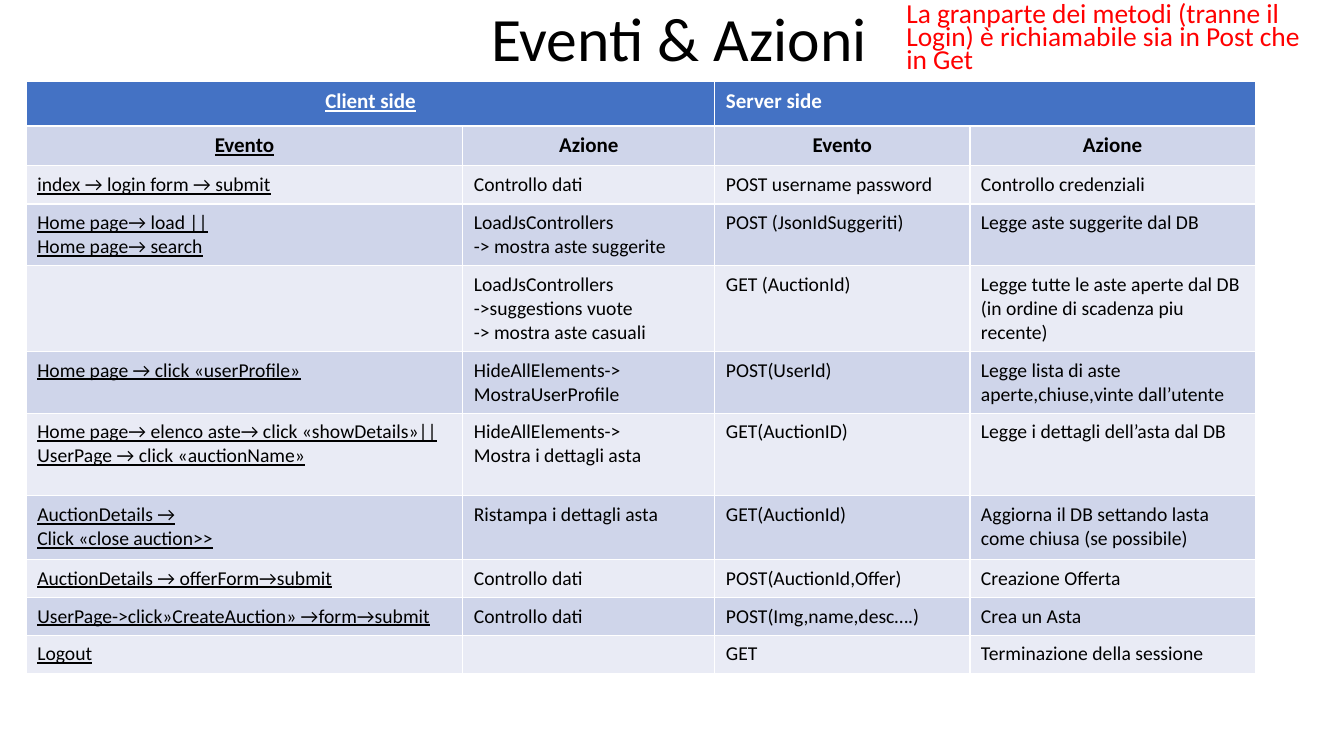
from dataclasses import dataclass

from lxml import etree
from pptx import Presentation
from pptx.dml.color import RGBColor
from pptx.enum.text import MSO_ANCHOR, PP_ALIGN
from pptx.oxml.ns import qn
from pptx.util import Inches, Pt

LEFT, CENTER = PP_ALIGN.LEFT, PP_ALIGN.CENTER
TOP, MIDDLE = MSO_ANCHOR.TOP, MSO_ANCHOR.MIDDLE


@dataclass(frozen=True)
class Theme:
    font: str = "Calibri"
    black: str = "000000"
    white: str = "FFFFFF"
    red: str = "FF0000"
    header: str = "4472C4"
    bands: tuple = ("E9EBF5", "CFD5EA")
    title_size: float = 44
    note_size: float = 19.6
    head_size: float = 15
    body_size: float = 14


COLUMNS = [4.33, 2.5, 2.53, 2.83]
HEIGHTS = [0.44, 0.38, 0.38, 0.59, 0.81, 0.58, 0.82, 0.63, 0.29, 0.29, 0.26]
ROWS = [
    ["Client side", "", "Server side", ""],
    ["Evento", "Azione", "Evento", "Azione"],
    ["index → login form → submit", "Controllo dati",
     "POST username password", "Controllo credenziali"],
    ["Home page→ load ||\nHome page→ search",
     "LoadJsControllers\n-> mostra aste suggerite",
     "POST (JsonIdSuggeriti)", "Legge aste suggerite dal DB"],
    ["", "LoadJsControllers\n->suggestions vuote\n-> mostra aste casuali",
     "GET (AuctionId)",
     "Legge tutte le aste aperte dal DB (in ordine di scadenza piu recente)"],
    ["Home page → click «userProfile»", "HideAllElements->\nMostraUserProfile",
     "POST(UserId)", "Legge lista di aste aperte,chiuse,vinte dall’utente"],
    ["Home page→ elenco aste→ click «showDetails»||\n"
     "UserPage → click «auctionName»",
     "HideAllElements->\nMostra i dettagli asta",
     "GET(AuctionID)", "Legge i dettagli dell’asta dal DB"],
    ["AuctionDetails →\nClick «close auction>>", "Ristampa i dettagli asta",
     "GET(AuctionId)",
     "Aggiorna il DB settando lasta come chiusa (se possibile)"],
    ["AuctionDetails → offerForm→submit", "Controllo dati",
     "POST(AuctionId,Offer)", "Creazione Offerta"],
    ["UserPage->click»CreateAuction» →form→submit", "Controllo dati",
     "POST(Img,name,desc….)", "Crea un Asta"],
    ["Logout", "", "GET", "Terminazione della sessione"],
]


def write(tf, text, *, font, size, color, bold=False, underline=False,
          align=LEFT, spacing=None):
    for i, line in enumerate(text.split("\n")):
        p = tf.add_paragraph() if i else tf.paragraphs[0]
        p.alignment = align
        if spacing:
            p.line_spacing = spacing
        if not line:
            etree.SubElement(p._p, qn("a:endParaRPr"), sz=str(int(size * 100)))
            continue
        r = p.add_run()
        r.text = line
        r.font.name = font
        r.font.size = Pt(size)
        r.font.bold = bold
        r.font.underline = underline
        r.font.color.rgb = RGBColor.from_string(color)


class Deck:
    def __init__(self, theme):
        self.theme = theme
        self.prs = Presentation()
        self.prs.slide_width, self.prs.slide_height = Inches(13.33), Inches(7.5)
        self.slide = self.prs.slides.add_slide(self.prs.slide_layouts[6])

    def text(self, box, text, anchor=TOP, **style):
        sp = self.slide.shapes.add_textbox(*map(Inches, box))
        tf = sp.text_frame
        tf.word_wrap = True
        tf.vertical_anchor = anchor
        write(tf, text, font=self.theme.font, **style)

    def cell(self, cell, text, row, col):
        t = self.theme
        cell.fill.solid()
        fill = t.bands[row % 2] if row else t.header
        cell.fill.fore_color.rgb = RGBColor.from_string(fill)
        cell.margin_left = cell.margin_right = Inches(0.11)
        cell.margin_top = cell.margin_bottom = Inches(0.05)
        cell.margin_top = cell.margin_bottom = Inches(0.07)
        is_head = row < 2
        centered = row == 1 or (row == 0 and col == 0)
        write(cell.text_frame, text, font=t.font,
              size=t.head_size if is_head else t.body_size,
              color=t.black if row else t.white,
              bold=is_head, underline=col == 0,
              align=CENTER if centered else LEFT)

    def table(self, left, top, columns, heights, rows):
        box = (left, top, sum(columns), sum(heights))
        frame = self.slide.shapes.add_table(
            len(rows), len(columns), *map(Inches, box))
        table = frame.table
        for column, width in zip(table.columns, columns):
            column.width = Inches(width)
        for row, height in zip(table.rows, heights):
            row.height = Inches(height)
        for i, texts in enumerate(rows):
            for j, text in enumerate(texts):
                self.cell(table.cell(i, j), text, i, j)
        for j in (0, 2):
            table.cell(0, j).merge(table.cell(0, j + 1))


def main():
    theme = Theme()
    deck = Deck(theme)
    deck.table(0.26, 0.81, COLUMNS, HEIGHTS, ROWS)
    deck.text((2.72, -0.31, 8.03, 1.45), "Eventi & Azioni", anchor=MIDDLE,
              size=theme.title_size, color=theme.black, align=CENTER, spacing=0.9)
    deck.text((8.89, 0, 4.18, 0.87),
              "La granparte dei metodi (tranne il Login) "
              "è richiamabile sia in Post che in Get",
              size=theme.note_size, color=theme.red, spacing=0.7)
    deck.prs.save("out.pptx")


if __name__ == "__main__":
    main()
